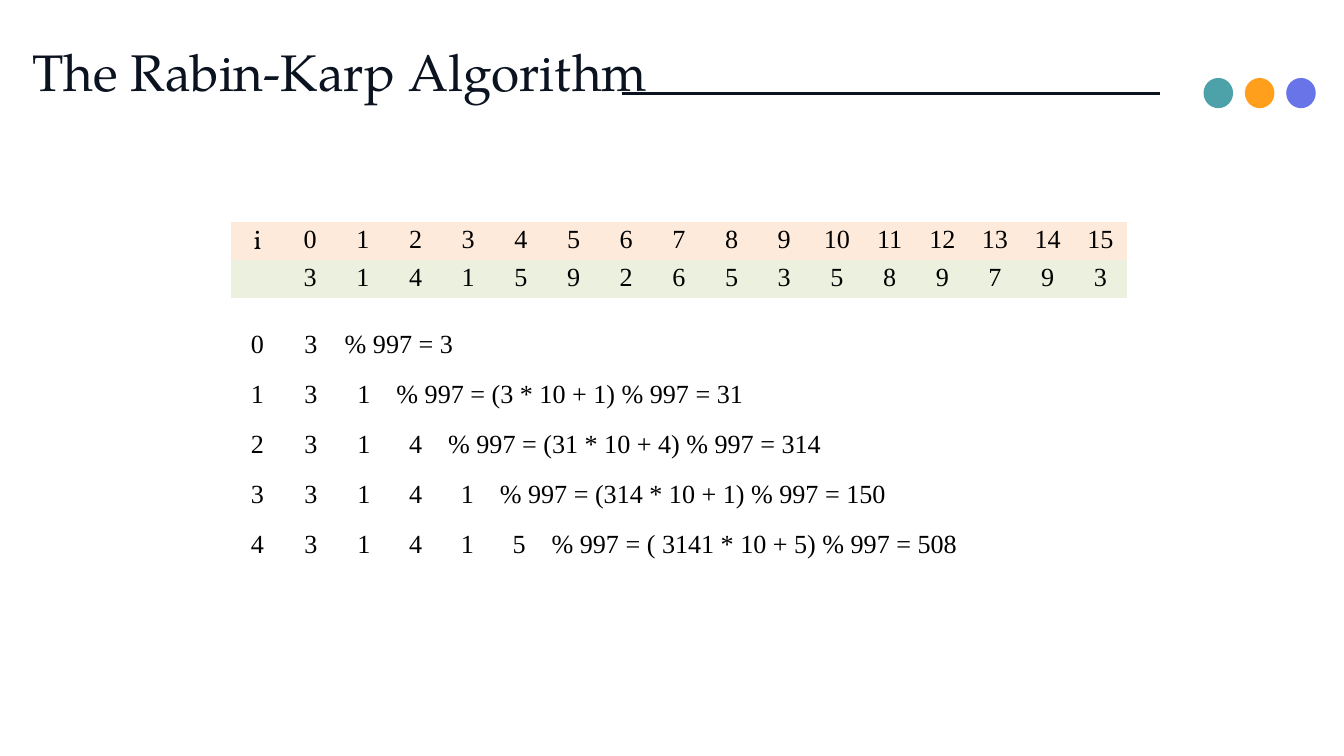
"""Build the Rabin-Karp slide with its digit table and rolling hash steps."""
from pptx import Presentation
from pptx.dml.color import RGBColor
from pptx.enum.shapes import MSO_CONNECTOR, MSO_SHAPE
from pptx.enum.text import PP_ALIGN
from pptx.oxml.ns import qn
from pptx.util import Inches, Pt
from lxml.etree import SubElement

COLORS = {"ink": "0B1320", "black": "000000", "teal": "4DA1A9", "orange": "FF9F1C",
          "violet": "6874E8", "peach": "FDEADA", "green": "EBF1DE"}
NO_STYLE = "{2D5ABB26-0587-4C30-8999-92F81FD0307C}"
ROW_HEIGHT = 0.57
TABLE_LEFT, TABLE_WIDTH = 3.44, 13.33


def write_text(frame, text, font="Times New Roman", size=28, color="black",
               align=PP_ALIGN.CENTER, spacing=None):
    paragraph = frame.paragraphs[0]
    paragraph.alignment = align
    paragraph.line_spacing = spacing
    run = paragraph.add_run()
    run.text = text
    run.font.name = font
    run.font.size = Pt(size)
    run.font.color.rgb = RGBColor.from_string(COLORS[color])


def add_plain_table(slide, top, widths, row_count):
    table = slide.shapes.add_table(
        row_count, len(widths), Inches(TABLE_LEFT), Inches(top),
        Inches(TABLE_WIDTH), Inches(ROW_HEIGHT * row_count)).table
    table.first_row = table.horz_banding = False
    table._tbl.tblPr.find(qn("a:tableStyleId")).text = NO_STYLE
    for column, width in zip(table.columns, widths):
        column.width = Inches(width)
    return table


presentation = Presentation()
presentation.slide_width = Inches(20)
presentation.slide_height = Inches(11.25)
slide = presentation.slides.add_slide(presentation.slide_layouts[6])

title = slide.shapes.add_textbox(Inches(0.48), Inches(0.41), Inches(12.65), Inches(1.11))
frame = title.text_frame
frame.word_wrap = True
frame.margin_left = frame.margin_right = frame.margin_top = frame.margin_bottom = 0
write_text(frame, "The Rabin-Karp Algorithm", font="TeX Gyre Pagella", size=55,
           color="ink", align=PP_ALIGN.LEFT, spacing=1.2)

rule = slide.shapes.add_connector(
    MSO_CONNECTOR.STRAIGHT, Inches(9.25), Inches(1.39), Inches(17.26), Inches(1.39))
rule.line.color.rgb = RGBColor.from_string(COLORS["ink"])
rule.line.width = Pt(3)
SubElement(rule._element.spPr, qn("a:effectLst"))

for index, color in enumerate(["teal", "orange", "violet"]):
    dot = slide.shapes.add_shape(
        MSO_SHAPE.OVAL, Inches(17.91 + 0.615 * index), Inches(1.16), Inches(0.44), Inches(0.45))
    dot.shadow.inherit = False
    dot.fill.solid()
    dot.fill.fore_color.rgb = RGBColor.from_string(COLORS[color])
    dot.line.fill.background()

digits = "3141592653589793"
rows = [("peach", ["i", *map(str, range(len(digits)))]), ("green", ["", *digits])]
column_count = len(digits) + 1
digit_table = add_plain_table(slide, 3.3, [TABLE_WIDTH / column_count] * column_count, len(rows))
for row_index, (color, values) in enumerate(rows):
    for column_index, value in enumerate(values):
        cell = digit_table.cell(row_index, column_index)
        cell.fill.solid()
        cell.fill.fore_color.rgb = RGBColor.from_string(COLORS[color])
        if value:
            write_text(cell.text_frame, value,
                       font="Vollkorn" if value == "i" else "Times New Roman")

steps = [
    "% 997 = 3",
    "% 997 = (3 * 10 + 1) % 997 = 31",
    "% 997 = (31 * 10 + 4) % 997 = 314",
    "% 997 = (314 * 10 + 1) % 997 = 150",
    "% 997 = ( 3141 * 10 + 5) % 997 = 508",
]
for index, formula in enumerate(steps):
    widths = [0.78, 0.81] + [0.77] * index
    widths.append(TABLE_WIDTH - sum(widths))
    step_table = add_plain_table(slide, 4.86 + 0.745 * index, widths, 1)
    for column_index, value in enumerate([str(index), *digits[:index + 1]]):
        write_text(step_table.cell(0, column_index).text_frame, value)
    write_text(step_table.cell(0, len(widths) - 1).text_frame, formula, align=PP_ALIGN.LEFT)

presentation.save("out.pptx")
